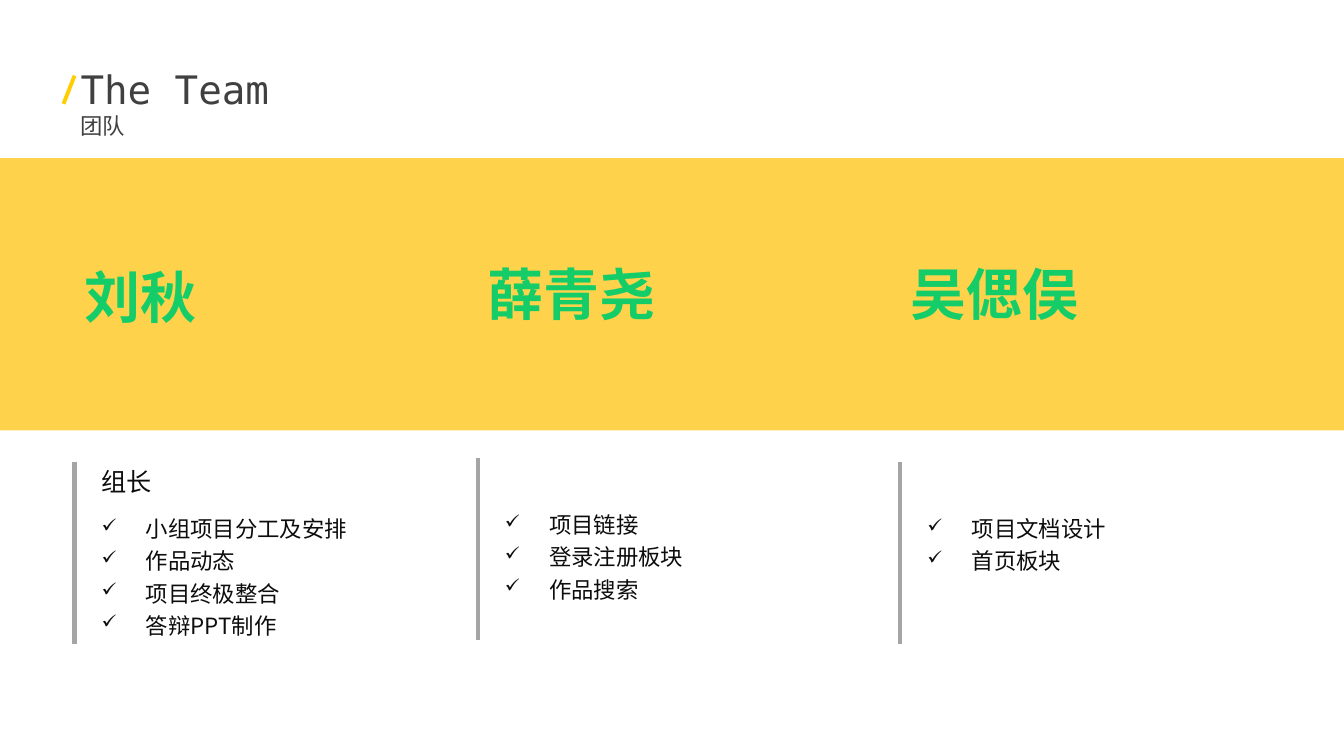
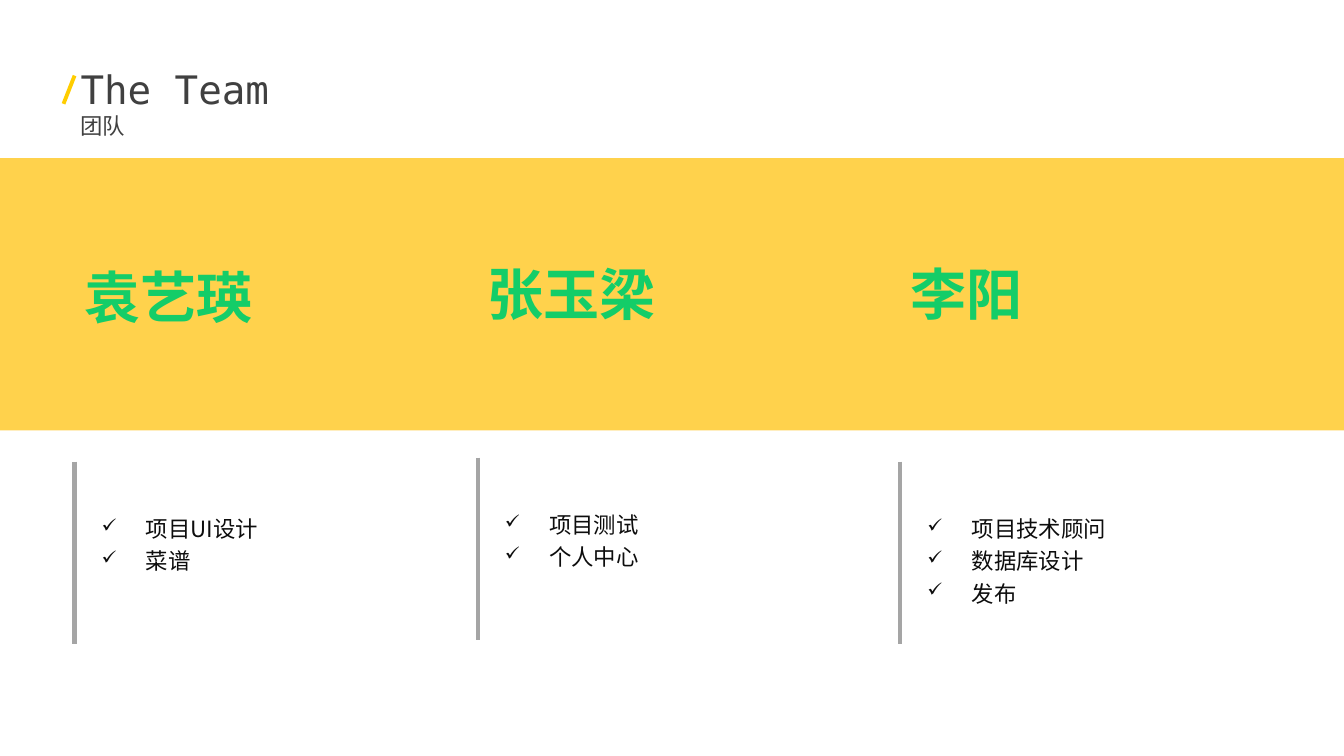
from dataclasses import dataclass
from typing import Any

import lxml.etree
import pptx
import pptx.dml.color
import pptx.enum.dml
import pptx.enum.lang
import pptx.enum.shapes
import pptx.enum.text
import pptx.oxml.ns
import pptx.util

Inches = pptx.util.Inches
Pt = pptx.util.Pt
qn = pptx.oxml.ns.qn

BAND, SLASH, RULE = "FFC000", "FFCD00", "A5A5A5"
TITLE_INK, BODY_INK = "404040", "0D0D0D"
NAME_GRADIENT = ("14CD68", "0B6E38")
BAND_OPACITY = 70
RULE_LENGTH = 1.81
TEXT_INDENT = 0.17
DUTY_DROP = 0.43
BULLET_INDENT = 0.44
CHINESE = pptx.enum.lang.MSO_LANGUAGE_ID.SIMPLIFIED_CHINESE

TITLE = {"name": "DejaVu Sans Mono", "size": Pt(28), "language_id": CHINESE}
SUBTITLE = {**TITLE, "size": Pt(16)}
NAME = {**TITLE, "size": Pt(40), "bold": True}
ROLE = {"name": "Calibri", "size": Pt(18), "language_id": CHINESE}
DUTY = {"name": "Noto Sans CJK SC", "size": Pt(16), "language_id": CHINESE}


@dataclass(frozen=True)
class Column:
    left: float
    name_top: float
    rule_top: float


@dataclass(frozen=True)
class Member:
    name: str
    duties: tuple[str, ...]
    role: str = ""


COLUMNS = (Column(0.74, 2.56, 4.58), Column(4.74, 2.53, 4.54), Column(8.93, 2.53, 4.58))
TEAMS = (
    (
        Member("刘秋", ("小组项目分工及安排", "作品动态", "项目终极整合", "答辩PPT制作"), "组长"),
        Member("薛青尧", ("项目链接", "登录注册板块", "作品搜索")),
        Member("吴偲俣", ("项目文档设计", "首页板块")),
    ),
    (
        Member("袁艺瑛", ("项目UI设计", "菜谱")),
        Member("张玉梁", ("项目测试", "个人中心")),
        Member("李阳", ("项目技术顾问", "数据库设计", "发布")),
    ),
)


def colour(hex_value: str) -> pptx.dml.color.RGBColor:
    return pptx.dml.color.RGBColor.from_string(hex_value)


def add_frame(slide: Any, left: float, top: float, width: float, height: float) -> Any:
    frame = slide.shapes.add_textbox(Inches(left), Inches(top), Inches(width), Inches(height)).text_frame
    frame.word_wrap = True
    frame.auto_size = pptx.enum.text.MSO_AUTO_SIZE.SHAPE_TO_FIT_TEXT
    return frame


def add_run(paragraph: Any, text: str, style: dict[str, Any], inks: tuple[str, ...]) -> None:
    run = paragraph.add_run()
    run.text = text
    for attribute, value in style.items():
        setattr(run.font, attribute, value)
    if len(inks) == 1:
        run.font.fill.solid()
        run.font.fill.fore_color.rgb = colour(inks[0])
        return
    run.font.fill.gradient()
    run.font.fill.gradient_angle = 0
    for stop, ink in zip(run.font.fill.gradient_stops, inks):
        stop.color.rgb = colour(ink)


def add_line(slide: Any, start: tuple[float, float], end: tuple[float, float], ink: str, width: float) -> None:
    line = slide.shapes.add_connector(
        pptx.enum.shapes.MSO_CONNECTOR.STRAIGHT, *(Inches(value) for value in start + end)
    )
    line.line.color.rgb = colour(ink)
    line.line.width = Pt(width)
    lxml.etree.SubElement(line._element.spPr, qn("a:effectLst"))


def add_band(slide: Any) -> None:
    band = slide.shapes.add_shape(
        pptx.enum.shapes.MSO_SHAPE.RECTANGLE, Inches(-0.24), Inches(1.57), Inches(14.21), Inches(2.7)
    )
    band.shadow.inherit = False
    band.line.fill.background()
    band.fill.solid()
    band.fill.fore_color.rgb = colour(BAND)
    tint = band._element.spPr.find(qn("a:solidFill"))[0]
    lxml.etree.SubElement(tint, qn("a:alpha"), val=str(BAND_OPACITY * 1000))


def add_title(slide: Any) -> None:
    frame = add_frame(slide, 0.7, 0.59, 4.22, 0.84)
    frame.vertical_anchor = pptx.enum.text.MSO_ANCHOR.MIDDLE
    add_run(frame.paragraphs[0], "The Team", TITLE, (TITLE_INK,))
    add_run(frame.add_paragraph(), "团队", SUBTITLE, (TITLE_INK,))
    add_line(slide, (0.74, 0.75), (0.63, 1.03), SLASH, 2.75)


def add_check(paragraph: Any) -> None:
    properties = paragraph._p.get_or_add_pPr()
    properties.set("marL", str(Inches(BULLET_INDENT)))
    properties.set("indent", str(-Inches(BULLET_INDENT)))
    lxml.etree.SubElement(properties, qn("a:buSzPct"), val="85000")
    lxml.etree.SubElement(properties, qn("a:buChar"), char="✓")


def add_member(slide: Any, column: Column, member: Member) -> None:
    text_left = column.left + TEXT_INDENT
    add_line(
        slide, (column.left, column.rule_top), (column.left, column.rule_top + RULE_LENGTH), RULE, 3
    )
    name = add_frame(slide, column.left, column.name_top, 3.37, 0.77)
    add_run(name.paragraphs[0], member.name, NAME, NAME_GRADIENT)
    if member.role:
        role = add_frame(slide, text_left, column.rule_top, 1.41, 0.4)
        add_run(role.paragraphs[0], member.role, ROLE, (BODY_INK,))
    duties = add_frame(slide, text_left, column.rule_top + DUTY_DROP, 2.77, 1.39)
    for index, duty in enumerate(member.duties):
        paragraph = duties.add_paragraph() if index else duties.paragraphs[0]
        add_check(paragraph)
        paragraph.line_spacing = 1.2
        add_run(paragraph, duty, DUTY, (BODY_INK,))


def main() -> None:
    deck = pptx.Presentation()
    deck.slide_width, deck.slide_height = Inches(13.33), Inches(7.5)
    for team in TEAMS:
        slide = deck.slides.add_slide(deck.slide_layouts[6])
        add_band(slide)
        add_title(slide)
        for column, member in zip(COLUMNS, team):
            add_member(slide, column, member)
    deck.save("out.pptx")


if __name__ == "__main__":
    main()
